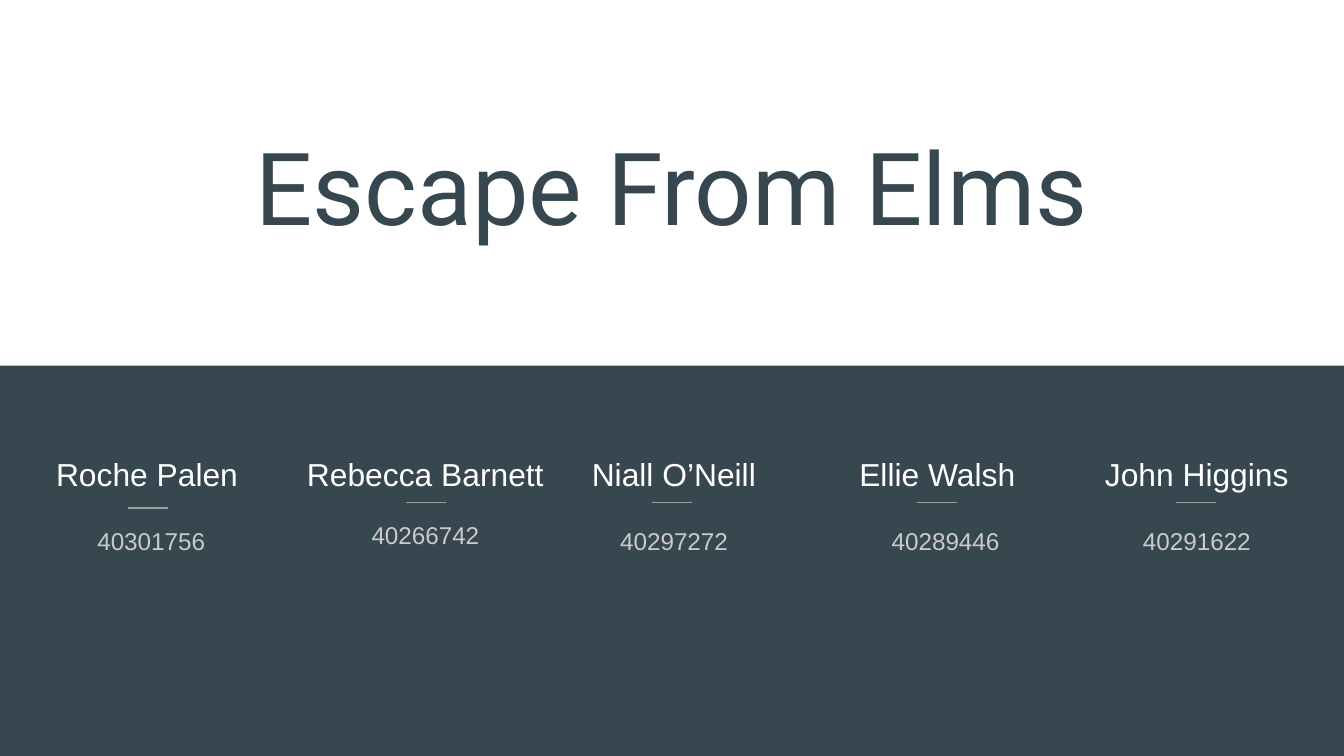
"""Build the title slide with a white band and five team members."""
from pptx import Presentation
from pptx.dml.color import RGBColor
from pptx.enum.shapes import MSO_CONNECTOR, MSO_SHAPE
from pptx.enum.text import MSO_ANCHOR, PP_ALIGN
from pptx.oxml.ns import qn
from pptx.util import Inches, Pt

CENTER = PP_ALIGN.CENTER
TOP = MSO_ANCHOR.TOP
RECT = MSO_SHAPE.RECTANGLE
LINE = MSO_CONNECTOR.STRAIGHT
SLATE = "37474F"
WHITE = "FFFFFF"


def color(code):
    return RGBColor.from_string(code)


def add_text(words, place, face, size, code, form):
    box = slide.shapes.add_textbox(*map(Inches, place))
    frame = box.text_frame
    frame.word_wrap = True
    frame.vertical_anchor = TOP
    for side in ("left", "right", "top", "bottom"):
        setattr(frame, f"margin_{side}", Inches(0.1))
    para = frame.paragraphs[0]
    for name, value in form.items():
        setattr(para, name, value)
    run = para.add_run()
    run.text = words
    for name, value in {"name": face, "size": Pt(size)}.items():
        setattr(run.font, name, value)
    run.font.color.rgb = color(code)


deck = Presentation()
deck.slide_width = Inches(10)
deck.slide_height = Inches(10 * 9 / 16)
slide = deck.slides.add_slide(deck.slide_layouts[6])
back = slide.background.fill
back.solid()
back.fore_color.rgb = color(SLATE)

band = slide.shapes.add_shape(RECT, 0, 0, Inches(10.02), Inches(2.72))
band.shadow.inherit = False
band.fill.solid()
band.fill.fore_color.rgb = color(WHITE)
band.line.fill.background()

add_text("Escape From Elms", (0.34, 0.83, 9.32, 1.06), "Roboto", 54, SLATE,
         {"alignment": CENTER})

body = {"alignment": CENTER, "line_spacing": 1.15, "space_after": Pt(16)}
team = [
    ("Roche Palen", 0.13, 1.93, 0.95, 3.78, "40301756", (0.16, 3.78, 1.93, 1.06)),
    ("Rebecca Barnett", 2.09, 2.15, 3.02, 3.74, "40266742", (2.43, 3.74, 1.47, 0.31)),
    ("Niall O’Neill", 4.05, 1.93, 4.85, 3.74, "40297272", (4.05, 3.78, 1.93, 1.06)),
    ("Ellie Walsh", 6.01, 1.93, 6.82, 3.74, "40289446", (6.07, 3.78, 1.93, 1.06)),
    ("John Higgins", 7.94, 1.93, 8.75, 3.74, "40291622", (7.94, 3.78, 1.93, 1.06)),
]
for name, left, width, start, level, number, place in team:
    add_text(name, (left, 3.24, width, 0.4), "Arial", 17, WHITE, body)
    ends = (start, level, start + 0.3, level)
    rule = slide.shapes.add_connector(LINE, *map(Inches, ends))
    rule.line.color.rgb = color("9E9E9E")
    rule.line.width = Pt(0.75)
    props = rule.element.spPr
    props.append(props.makeelement(qn("a:effectLst"), {}))
    add_text(number, place, "Arial", 13, "CACACA", body)

deck.save("out.pptx")
